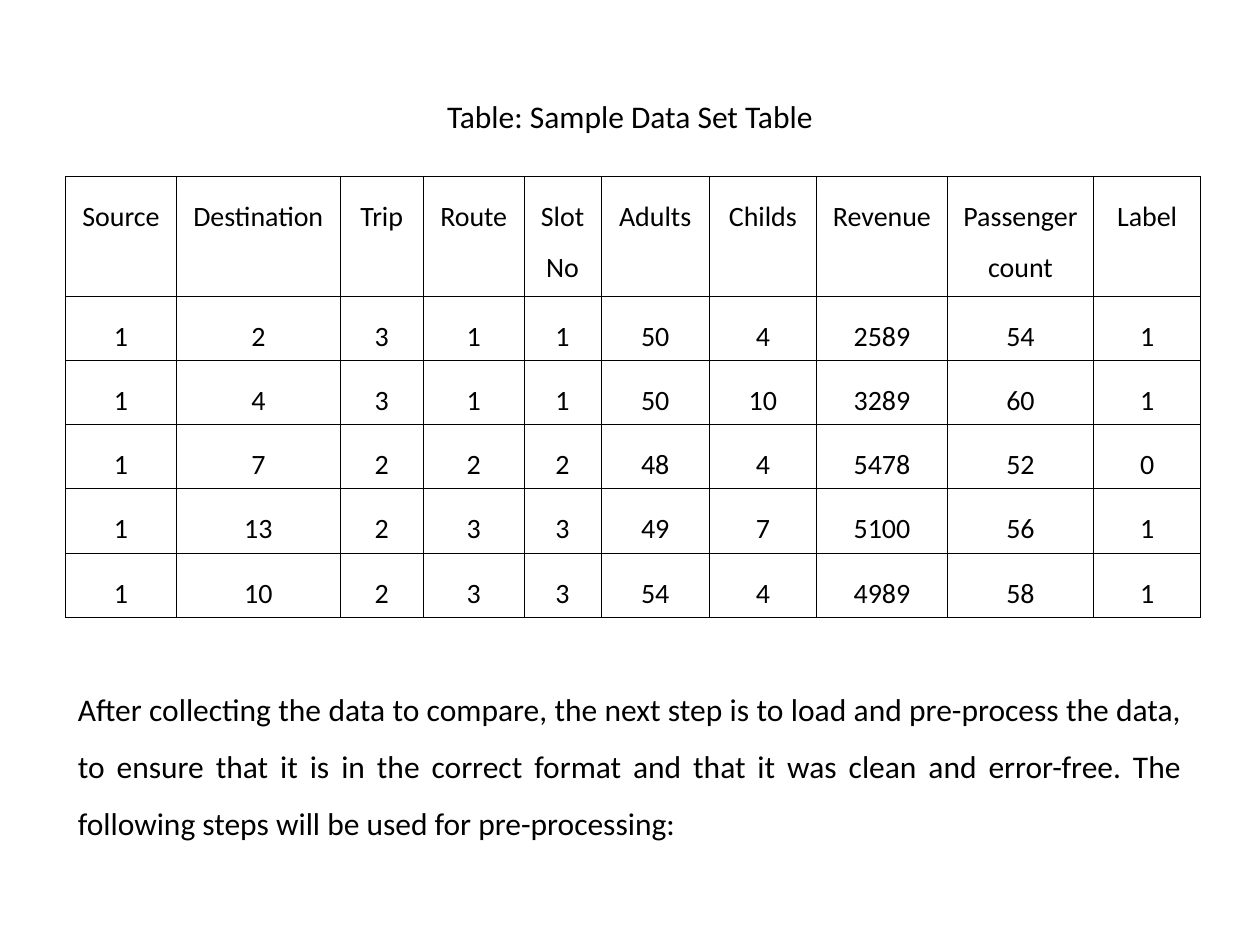
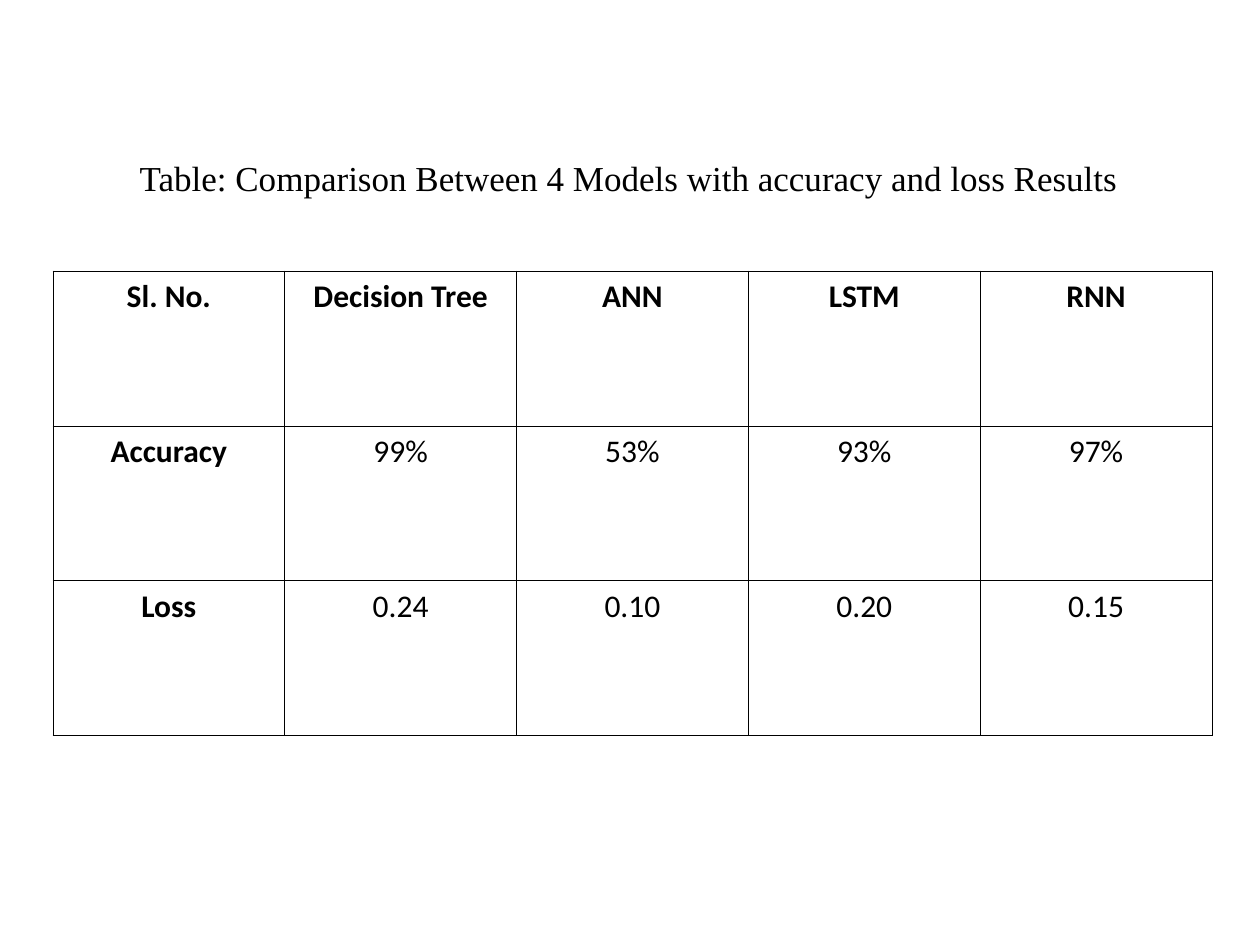
from lxml.etree import SubElement
from pptx import Presentation
from pptx.dml.color import RGBColor
from pptx.enum.text import MSO_AUTO_SIZE, PP_ALIGN
from pptx.oxml.ns import qn
from pptx.util import Inches, Pt

COLORS = {"ink": "000000", "paper": "FFFFFF"}
BODY_FONT = "Calibri"
BORDER_WIDTH = Pt(0.45)

SAMPLE_COLUMN_WIDTHS = [0.88, 1.3, 0.66, 0.8, 0.61, 0.86, 0.85, 1.04, 1.16, 0.85]
SAMPLE_ROW_HEIGHTS = [0.95] + [0.51] * 5
SAMPLE_ROWS = [
    ["Source", "Destination", "Trip", "Route", "Slot No", "Adults", "Childs",
     "Revenue", "Passenger count", "Label"],
    [1, 2, 3, 1, 1, 50, 4, 2589, 54, 1],
    [1, 4, 3, 1, 1, 50, 10, 3289, 60, 1],
    [1, 7, 2, 2, 2, 48, 4, 5478, 52, 0],
    [1, 13, 2, 3, 3, 49, 7, 5100, 56, 1],
    [1, 10, 2, 3, 3, 54, 4, 4989, 58, 1],
]
MODEL_ROWS = [
    ["Sl. No.", "Decision Tree", "ANN", "LSTM", "RNN"],
    ["Accuracy", "99%", "53%", "93%", "97%"],
    ["Loss", "0.24", "0.10", "0.20", "0.15"],
]
NEXT_STEP = (
    "After collecting the data to compare, the next step is to load and "
    "pre-process the data, to ensure that it is in the correct format and that "
    "it was clean and error-free. The following steps will be used for "
    "pre-processing:"
)


def write_run(paragraph, text, size, font=BODY_FONT, bold=False):
    run = paragraph.add_run()
    run.text = text
    run.font.name = font
    run.font.size = Pt(size)
    run.font.bold = bold
    run.font.color.rgb = RGBColor.from_string(COLORS["ink"])


def add_text(slide, box, text, size=18, font=BODY_FONT,
             alignment=PP_ALIGN.CENTER, line_spacing=None):
    shape = slide.shapes.add_textbox(*map(Inches, box))
    frame = shape.text_frame
    frame.word_wrap = True
    frame.auto_size = MSO_AUTO_SIZE.SHAPE_TO_FIT_TEXT
    paragraph = frame.paragraphs[0]
    paragraph.alignment = alignment
    paragraph.line_spacing = line_spacing
    write_run(paragraph, text, size, font)


def style_cell(cell):
    properties = cell._tc.get_or_add_tcPr()
    for side in ("lnL", "lnR", "lnT", "lnB"):
        line = SubElement(properties, qn(f"a:{side}"), w=str(BORDER_WIDTH))
        fill = SubElement(line, qn("a:solidFill"))
        SubElement(fill, qn("a:srgbClr"), val=COLORS["ink"])
    cell.fill.solid()
    cell.fill.fore_color.rgb = RGBColor.from_string(COLORS["paper"])


def add_grid(slide, left, top, column_widths, row_heights, rows, size,
             bold_headings=False, side_margin=0.1, line_spacing=None,
             space_before=None, space_after=None):
    table = slide.shapes.add_table(
        len(row_heights), len(column_widths), Inches(left), Inches(top),
        Inches(sum(column_widths)), Inches(sum(row_heights))).table
    for column, width in zip(table.columns, column_widths):
        column.width = Inches(width)
    for row, height in zip(table.rows, row_heights):
        row.height = Inches(height)
    for row_index, values in enumerate(rows):
        for column_index, value in enumerate(values):
            cell = table.cell(row_index, column_index)
            style_cell(cell)
            cell.margin_left = cell.margin_right = Inches(side_margin)
            paragraph = cell.text_frame.paragraphs[0]
            paragraph.alignment = PP_ALIGN.CENTER
            paragraph.line_spacing = line_spacing
            paragraph.space_before = space_before
            paragraph.space_after = space_after
            is_heading = row_index == 0 or column_index == 0
            write_run(paragraph, str(value), size, bold=bold_headings and is_heading)


def add_sample_data_slide(presentation):
    slide = presentation.slides.add_slide(presentation.slide_layouts[6])
    add_grid(slide, 0.52, 1.4, SAMPLE_COLUMN_WIDTHS, SAMPLE_ROW_HEIGHTS,
             SAMPLE_ROWS, size=16, side_margin=0.08, line_spacing=1.5,
             space_before=Pt(1), space_after=Pt(2.4))
    add_text(slide, (2.5, 0.72, 5, 0.4), "Table: Sample Data Set Table")
    add_text(slide, (0.52, 5.28, 8.96, 1.45), NEXT_STEP,
             alignment=PP_ALIGN.JUSTIFY, line_spacing=1.5)


def add_model_comparison_slide(presentation):
    slide = presentation.slides.add_slide(presentation.slide_layouts[6])
    add_grid(slide, 0.42, 2.15, [1.84] * 5, [1.23] * 3, MODEL_ROWS,
             size=18, bold_headings=True)
    add_text(slide, (0.4, 1.19, 9.18, 0.44),
             "Table: Comparison Between 4 Models with accuracy and loss Results",
             size=20, font="Times New Roman")


def main():
    presentation = Presentation()
    presentation.slide_width = Inches(10)
    presentation.slide_height = Inches(7.5)
    add_sample_data_slide(presentation)
    add_model_comparison_slide(presentation)
    presentation.save("out.pptx")


if __name__ == "__main__":
    main()
